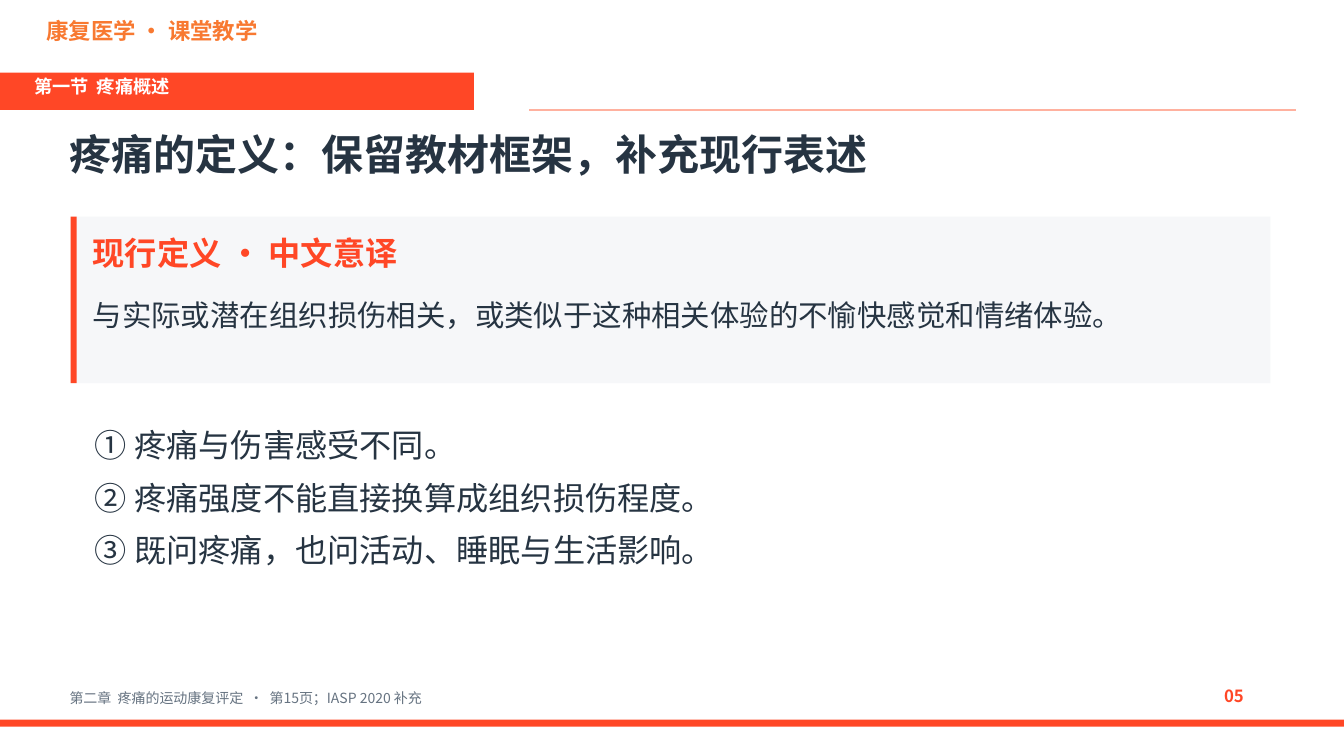
from dataclasses import dataclass

from lxml.etree import SubElement
from pptx import Presentation
from pptx.dml.color import RGBColor
from pptx.enum.shapes import MSO_CONNECTOR, MSO_SHAPE
from pptx.enum.text import MSO_ANCHOR, MSO_AUTO_SIZE, PP_ALIGN
from pptx.oxml.ns import qn
from pptx.util import Inches, Pt


@dataclass(frozen=True)
class Theme:
    font: str = "Noto Sans CJK SC"
    # Colours
    red: str = "FF4726"
    orange: str = "F87931"
    pink: str = "FFB19F"
    ink: str = "263442"
    grey: str = "667381"
    panel: str = "F6F7F9"
    white: str = "FFFFFF"
    # Type sizes in points
    title: int = 30
    head: int = 23
    body: int = 21
    course: int = 16
    label: int = 13
    page: int = 12
    foot: int = 10


THEME = Theme()


def rgb(color):
    return RGBColor.from_string(color)


def add_bar(slide, box, color):
    bar = slide.shapes.add_shape(MSO_SHAPE.RECTANGLE, *map(Inches, box))
    bar.shadow.inherit = False
    bar.fill.solid()
    bar.fill.fore_color.rgb = rgb(color)
    bar.line.fill.background()


def add_rule(slide, left, right, top, color):
    ends = map(Inches, (left, top, right, top))
    rule = slide.shapes.add_connector(MSO_CONNECTOR.STRAIGHT, *ends)
    rule.line.color.rgb = rgb(color)
    rule.line.width = Pt(1)
    SubElement(rule._element.spPr, qn("a:effectLst"))


def set_text(shape, lines, size, color, bold=False):
    frame = shape.text_frame
    frame.text = "\n".join(lines)
    frame.word_wrap = True
    frame.auto_size = MSO_AUTO_SIZE.NONE
    frame.vertical_anchor = MSO_ANCHOR.TOP
    frame.margin_left = frame.margin_right = Inches(0.04)
    frame.margin_top, frame.margin_bottom = Inches(0.02), 0
    for para in frame.paragraphs:
        para.alignment = PP_ALIGN.LEFT
        para.space_before, para.space_after = Pt(0), Pt(10)
        # The circled numbers replace the template's bullets
        props = para._p.get_or_add_pPr()
        props.set("marL", "0")
        props.set("indent", "0")
        SubElement(props, qn("a:buNone"))
        font = para.font
        font.name, font.size, font.bold = THEME.font, Pt(size), bold
        font.color.rgb = rgb(color)
        SubElement(font._element, qn("a:ea"), typeface=THEME.font)


def add_text(slide, box, text, size, color, bold=False):
    shape = slide.shapes.add_textbox(*map(Inches, box))
    set_text(shape, [text], size, color, bold)


def fill_holder(shape, box, lines, size, color, bold=False):
    shape.left, shape.top, shape.width, shape.height = map(Inches, box)
    set_text(shape, lines, size, color, bold)


def main():
    deck = Presentation()
    deck.slide_width, deck.slide_height = Inches(13.33), Inches(7.5)
    slide = deck.slides.add_slide(deck.slide_layouts[1])

    # Header
    add_text(slide, (0.42, 0.15, 3.5, 0.4), "康复医学 · 课堂教学",
             THEME.course, THEME.orange, True)
    add_bar(slide, (0, 0.72, 4.7, 0.37), THEME.red)
    add_text(slide, (0.3, 0.73, 4.2, 0.32), "第一节  疼痛概述",
             THEME.label, THEME.white, True)
    add_rule(slide, 5.25, 12.85, 1.09, THEME.pink)
    fill_holder(slide.shapes.title, (0.65, 1.25, 12, 0.65),
                ["疼痛的定义：保留教材框架，补充现行表述"],
                THEME.title, THEME.ink, True)

    # Definition panel
    add_bar(slide, (0.7, 2.15, 11.9, 1.65), THEME.panel)
    add_bar(slide, (0.7, 2.15, 0.06, 1.65), THEME.red)
    add_text(slide, (0.88, 2.29, 11.55, 0.45), "现行定义 · 中文意译",
             THEME.head, THEME.red, True)
    add_text(slide, (0.88, 2.93, 11.55, 0.78),
             "与实际或潜在组织损伤相关，或类似于这种相关体验的不愉快感觉和情绪体验。",
             THEME.body, THEME.ink)

    # Key points
    points = [
        "① 疼痛与伤害感受不同。",
        "② 疼痛强度不能直接换算成组织损伤程度。",
        "③ 既问疼痛，也问活动、睡眠与生活影响。",
    ]
    fill_holder(slide.placeholders[1], (0.9, 4.2, 11.4, 1.5), points,
                THEME.head, THEME.ink)

    # Footer
    add_text(slide, (0.65, 6.82, 11, 0.23),
             "第二章  疼痛的运动康复评定  ·  第15页；IASP 2020 补充",
             THEME.foot, THEME.grey)
    add_text(slide, (12.1, 6.78, 0.6, 0.3), "05",
             THEME.page, THEME.red, True)
    add_bar(slide, (0, 7.14, 13.33, 0.07), THEME.red)

    deck.save("out.pptx")


if __name__ == "__main__":
    main()
